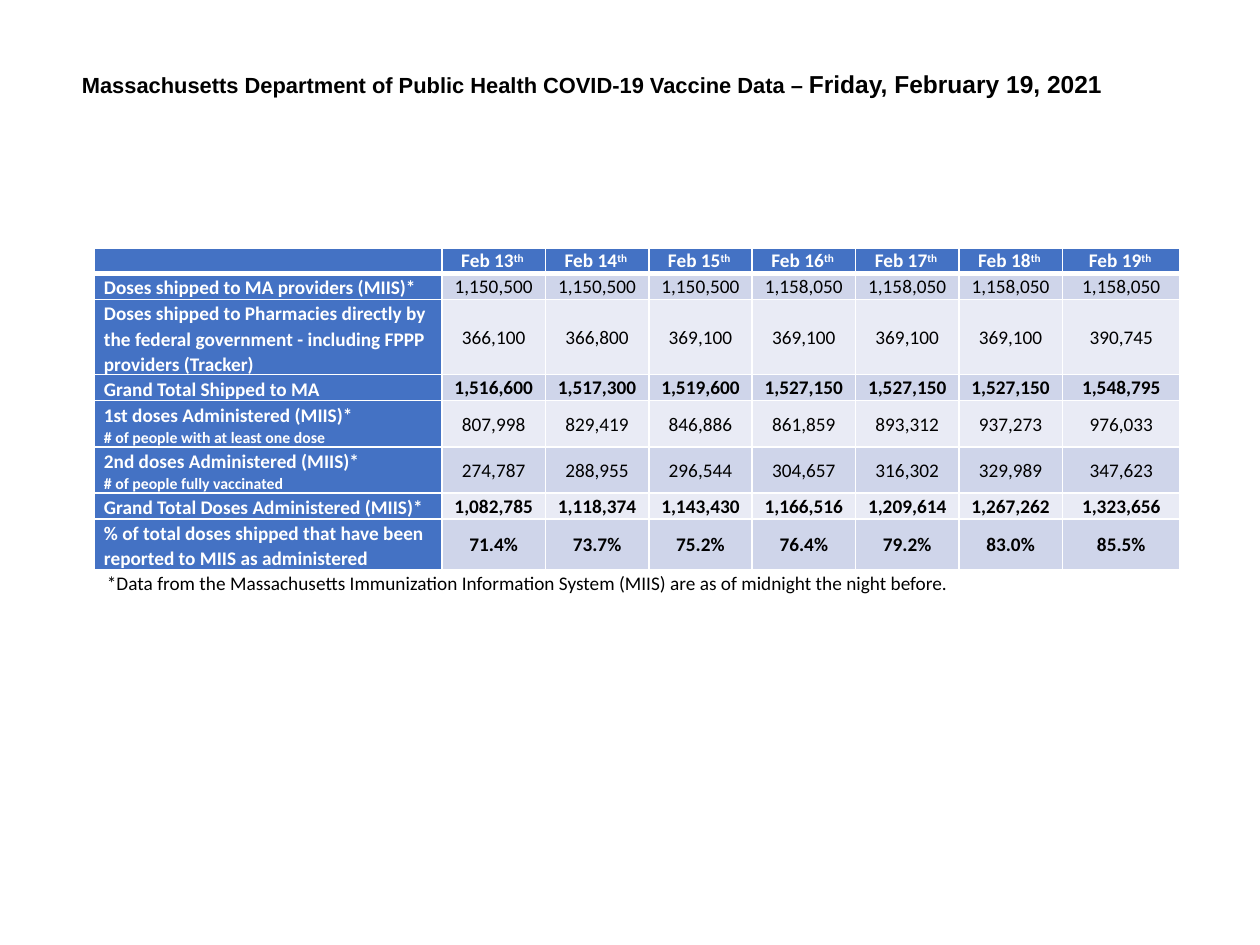
"""Builds a one-slide table of vaccine doses shipped and administered."""
from lxml.etree import SubElement
from pptx import Presentation
from pptx.dml.color import RGBColor
from pptx.enum.text import MSO_ANCHOR, MSO_AUTO_SIZE, PP_ALIGN
from pptx.oxml.ns import qn
from pptx.util import Pt

COLORS = {
    "text": "000000", "white": "FFFFFF", "header": "4472C4",
    "odd": "CFD5EA", "even": "E9EBF5",
}
COLUMN_WIDTHS = [198.6] + [59.1] * 6 + [67.4]
ROW_HEIGHT = 14.4
DAYS = range(13, 20)
ROWS = [
    (["Doses shipped to MA providers (MIIS)*"], False,
     "1,150,500 1,150,500 1,150,500 1,158,050 1,158,050 1,158,050 1,158,050"),
    (["Doses shipped to Pharmacies directly by the federal government - "
      "including FPPP providers (Tracker)"], False,
     "366,100 366,800 369,100 369,100 369,100 369,100 390,745"),
    (["Grand Total Shipped to MA"], True,
     "1,516,600 1,517,300 1,519,600 1,527,150 1,527,150 1,527,150 1,548,795"),
    (["1st doses Administered (MIIS)*", "# of people with at least one dose"], False,
     "807,998 829,419 846,886 861,859 893,312 937,273 976,033"),
    (["2nd doses Administered (MIIS)*", "# of people fully vaccinated"], False,
     "274,787 288,955 296,544 304,657 316,302 329,989 347,623"),
    (["Grand Total Doses Administered (MIIS)*"], True,
     "1,082,785 1,118,374 1,143,430 1,166,516 1,209,614 1,267,262 1,323,656"),
    (["% of total doses shipped that have been reported to MIIS as administered"], True,
     "71.4% 73.7% 75.2% 76.4% 79.2% 83.0% 85.5%"),
]


def apply(target, values):
    """Set each named attribute of the target."""
    for name, value in values.items():
        setattr(target, name, value)


class SlideBuilder:
    """Holds the style and the current slide."""

    def __init__(self, slide, font="Calibri", size=11):
        self.slide, self.font, self.size = slide, font, size

    def run(self, paragraph, text, color="text", baseline=None, **values):
        run = paragraph.add_run()
        run.text = text
        apply(run.font, {"name": self.font, "size": Pt(self.size), "bold": False} | values)
        run.font.color.rgb = RGBColor.from_string(COLORS[color])
        if baseline:
            run.font._element.set("baseline", str(baseline * 1000))

    def place(self, shape, left, top, width, height):
        apply(shape, {"left": Pt(left), "top": Pt(top), "width": Pt(width), "height": Pt(height)})

    def title(self, box, runs):
        title = self.slide.shapes.title
        self.place(title, *box)
        apply(title.text_frame, {"word_wrap": True, "auto_size": MSO_AUTO_SIZE.NONE,
                                 "vertical_anchor": MSO_ANCHOR.TOP})
        paragraph = title.text_frame.paragraphs[0]
        paragraph.alignment = PP_ALIGN.LEFT
        for text, size in runs:
            self.run(paragraph, text, name="Arial", size=Pt(size), bold=True)

    def note(self, box, text):
        frame = self.slide.shapes.add_textbox(*map(Pt, box)).text_frame
        frame.word_wrap = True
        self.run(frame.paragraphs[0], text)

    def cell(self, cell, fill, side=5, top=0, upper=1, lower=1):
        apply(cell, {"margin_left": Pt(side), "margin_right": Pt(side), "margin_top": Pt(top),
                     "margin_bottom": 0, "vertical_anchor": MSO_ANCHOR.MIDDLE})
        properties = cell._tc.get_or_add_tcPr()
        for edge, width in {"L": 1, "R": 1, "T": upper, "B": lower}.items():
            line = SubElement(properties, qn(f"a:ln{edge}"), w=str(Pt(width)))
            solid = SubElement(line, qn("a:solidFill"))
            SubElement(solid, qn("a:srgbClr"), val=COLORS["white"])
        cell.fill.solid()
        cell.fill.fore_color.rgb = RGBColor.from_string(COLORS[fill])
        paragraph = cell.text_frame.paragraphs[0]
        apply(paragraph, {"alignment": PP_ALIGN.CENTER, "line_spacing": 1.05})
        return paragraph

    def label(self, cell, lines, **borders):
        paragraph = self.cell(cell, "header", side=5.4, top=0.72, **borders)
        for index, text in enumerate(lines):
            paragraph = cell.text_frame.add_paragraph() if index else paragraph
            apply(paragraph, {"alignment": PP_ALIGN.LEFT, "line_spacing": 1.07})
            self.run(paragraph, text, "white", bold=True, size=Pt(9 if index else self.size))

    def table(self, box, days, rows):
        frame = self.slide.shapes.add_table(len(rows) + 1, len(days) + 1, *map(Pt, box))
        table = frame.table
        for column, width in zip(table.columns, COLUMN_WIDTHS):
            column.width = Pt(width)
        for row in table.rows:
            row.height = Pt(ROW_HEIGHT)
        self.place(frame, *box)
        sides = [5] * (len(days) - 1) + [0]

        corner = self.cell(table.cell(0, 0), "header", lower=3)
        SubElement(corner._p, qn("a:endParaRPr"), sz=str(self.size * 100))
        for column, (day, side) in enumerate(zip(days, sides), 1):
            paragraph = self.cell(table.cell(0, column), "header", side, lower=3)
            self.run(paragraph, f"Feb {day}", "white", bold=True)
            self.run(paragraph, "th ", "white", baseline=30, bold=True)

        for index, (lines, bold, values) in enumerate(rows, 1):
            upper = 3 if index == 1 else 1
            self.label(table.cell(index, 0), lines, upper=upper)
            for column, (value, side) in enumerate(zip(values.split(), sides), 1):
                fill = "odd" if index % 2 else "even"
                paragraph = self.cell(table.cell(index, column), fill, side, upper=upper)
                self.run(paragraph, value, bold=bold)


def main():
    presentation = Presentation()
    apply(presentation, {"slide_width": Pt(720), "slide_height": Pt(540)})
    builder = SlideBuilder(presentation.slides.add_slide(presentation.slide_layouts[5]))
    builder.note((54, 322.6, 602, 20.9),
                 "*Data from the Massachusetts Immunization Information System (MIIS) "
                 "are as of midnight the night before.")
    builder.table((54, 141.8, 620.6, 180.7), DAYS, ROWS)
    builder.title((39.6, 36, 640.8, 24.5), [
        ("Massachusetts Department of Public Health COVID-19 Vaccine Data – ", 12.5),
        ("Friday, February 19, 2021", 14),
    ])
    presentation.save("out.pptx")


if __name__ == "__main__":
    main()
